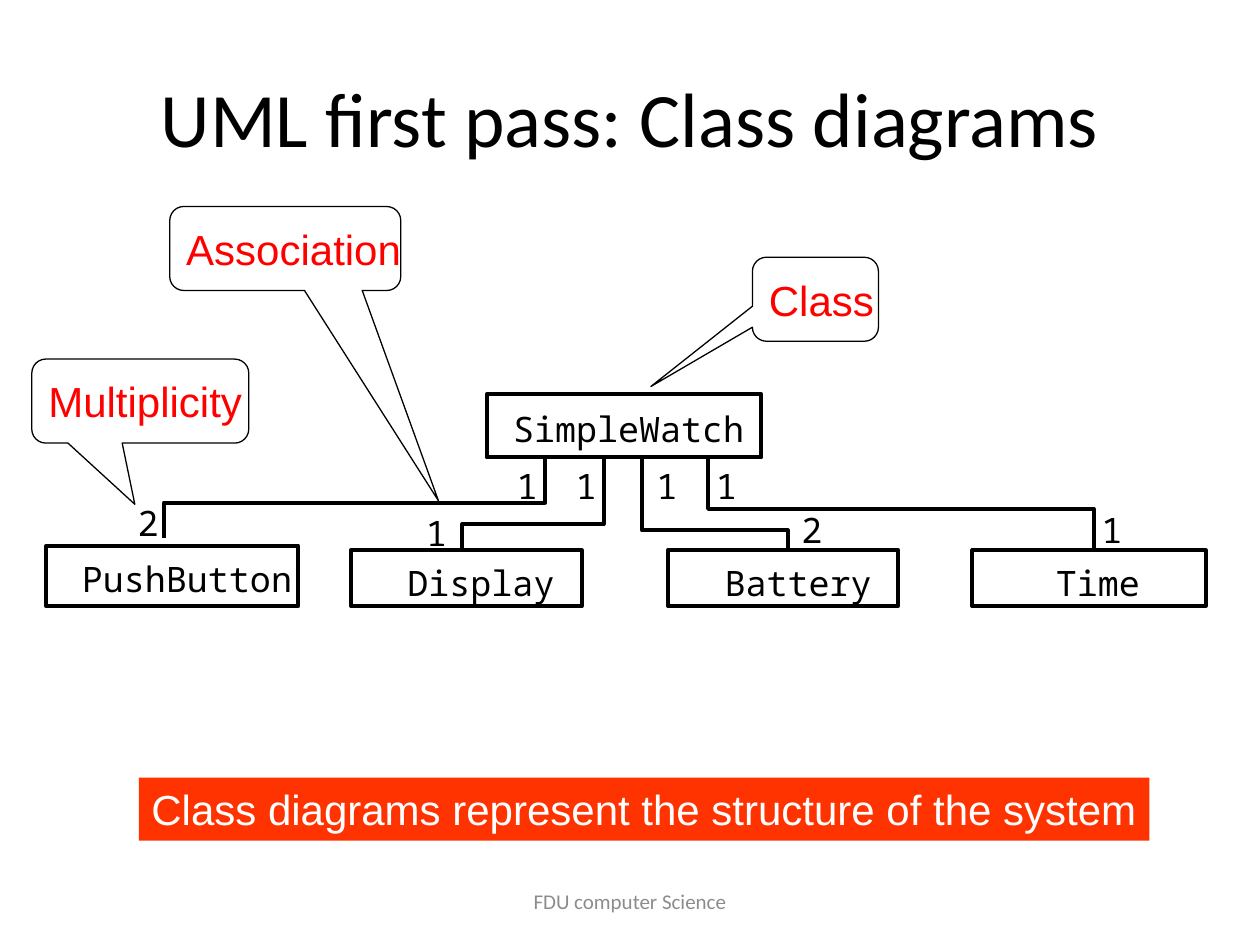
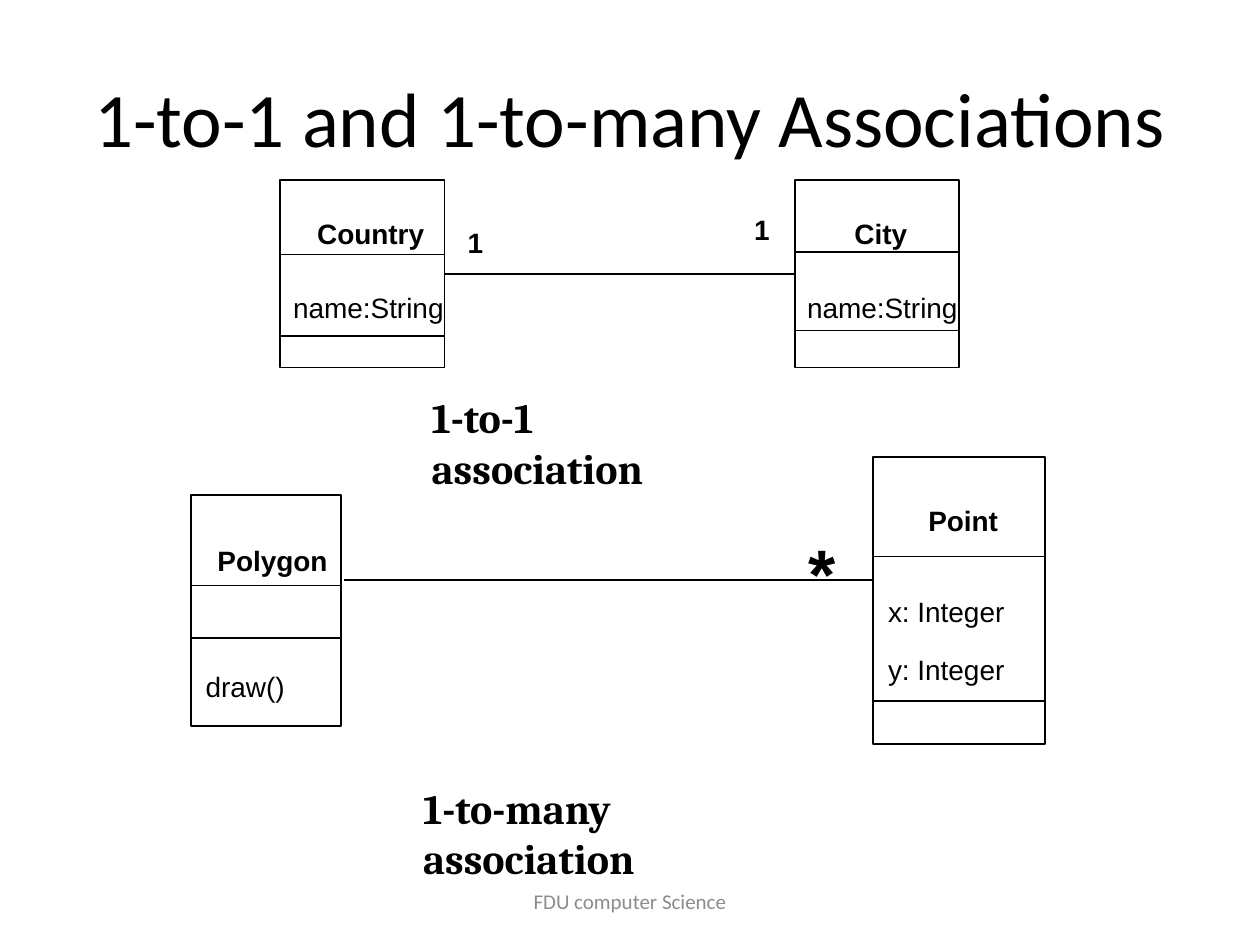
"""Build two slides on UML class diagrams and their associations."""
import pptx
import pptx.dml.color
import pptx.enum.shapes
import pptx.enum.text
import pptx.oxml
import pptx.util

Pt = pptx.util.Pt
SHAPES = pptx.enum.shapes.MSO_SHAPE
ANCHOR = pptx.enum.text.MSO_ANCHOR
GROW = pptx.enum.text.MSO_AUTO_SIZE.SHAPE_TO_FIT_TEXT

THEME = {
    "ink": "000000", "paper": "FFFFFF", "accent": "FF0000", "banner": "FF3300", "muted": "8C8C8C",
    "sans": "Arial", "serif": "Cambria", "heading": "Calibri", "code": "Noto Sans Mono",
    "title": 44, "star": 40, "large": 24, "label": 20, "member": 16, "footer": 12,
    "thick": 2.25, "thin": 1, "hairline": 0.75,
}
CENTERED = {"word_wrap": True, "vertical_anchor": ANCHOR.MIDDLE}
MIDDLE = {"word_wrap": False, "vertical_anchor": ANCHOR.MIDDLE}
GROWING = {"word_wrap": False, "auto_size": GROW}
TIGHT = {**GROWING, "margin_left": 0, "margin_top": 0, "margin_right": 0, "margin_bottom": 0}
CAPTION = {"word_wrap": True, "auto_size": GROW}

STYLES = {
    "title": ("heading", "title", "ink", False, "CENTER", CENTERED),
    "footer": ("heading", "footer", "muted", False, "CENTER", CENTERED),
    "callout": ("sans", "large", "accent", False, "LEFT", MIDDLE),
    "banner": ("sans", "large", "paper", False, "LEFT", {**MIDDLE, "auto_size": GROW}),
    "code": ("code", "label", "ink", False, "LEFT", TIGHT),
    "caption": ("serif", "large", "ink", True, "LEFT", CAPTION),
    "class name": ("sans", "member", "ink", True, "LEFT", GROWING),
    "member": ("sans", "member", "ink", False, "LEFT", GROWING),
    "star": ("sans", "star", "ink", True, "LEFT", GROWING),
}


def write(shape, text, style):
    typeface, size, color, bold, alignment, frame_format = STYLES[style]
    for name, value in frame_format.items():
        setattr(shape.text_frame, name, value)
    paragraph = shape.text_frame.paragraphs[0]
    paragraph.text = text
    paragraph.alignment = getattr(pptx.enum.text.PP_ALIGN, alignment)
    font_format = {"name": THEME[typeface], "size": Pt(THEME[size]), "bold": bold}
    for name, value in font_format.items():
        setattr(paragraph.font, name, value)
    paragraph.font.color.rgb = pptx.dml.color.RGBColor.from_string(THEME[color])


def paint(shape, fill, width):
    shape.shadow.inherit = False
    if fill:
        shape.fill.solid()
        shape.fill.fore_color.rgb = pptx.dml.color.RGBColor.from_string(THEME[fill])
    else:
        shape.fill.background()
    if width:
        shape.line.width = Pt(THEME[width])
        shape.line.color.rgb = pptx.dml.color.RGBColor.from_string(THEME["ink"])
    else:
        shape.line.fill.background()


presentation = pptx.Presentation()
presentation.slide_width, presentation.slide_height = Pt(720), Pt(540)

slides = []
for title in ("UML first pass: Class diagrams", "1-to-1 and 1-to-many Associations"):
    slide = presentation.slides.add_slide(presentation.slide_layouts[6])
    write(slide.shapes.add_textbox(Pt(36), Pt(21.6), Pt(648), Pt(90)), title, "title")
    write(slide.shapes.add_textbox(Pt(246), Pt(500.4), Pt(228), Pt(28.8)),
          "FDU computer Science", "footer")
    slides.append(slide)
watch_slide, association_slide = slides

callouts = [
    ("Class", 430, 147, 72, (-1.306, 1.039, 0.167)),
    ("Association", 97, 118, 132, (0.663, 3.003, 0.167)),
    ("Multiplicity", 18.2, 205.2, 124, (-0.025, 1.229, 0.167)),
]
for text, left, top, width, adjustments in callouts:
    callout = watch_slide.shapes.add_shape(
        SHAPES.ROUNDED_RECTANGULAR_CALLOUT, Pt(left), Pt(top), Pt(width), Pt(48))
    for index, value in enumerate(adjustments):
        callout.adjustments[index] = value
    paint(callout, "paper", "hairline")
    write(callout, text, "callout")

banner = watch_slide.shapes.add_shape(
    SHAPES.RECTANGLE, Pt(79.4), Pt(444.4), Pt(577.4), Pt(36))
paint(banner, "banner", None)
write(banner, "Class diagrams represent the structure of the system", "banner")

branches = [
    (93.6, 307.4, 287.3, 311.5, 259.9),
    (264.2, 313.2, 299.5, 344.9, 258.5),
    (450.2, 315.4, 303.1, 366.8, 258.5),
    (625, 313.9, 290.9, 404.6, 258.5),
]
for part_x, part_y, bend_y, watch_x, watch_y in branches:
    builder = watch_slide.shapes.build_freeform(Pt(part_x), Pt(part_y))
    corners = [(part_x, bend_y), (watch_x, bend_y), (watch_x, watch_y)]
    builder.add_line_segments([(Pt(x), Pt(y)) for x, y in corners], close=False)
    paint(builder.convert_to_shape(), None, "thick")

multiplicities = [
    ("1", 295.2, 265.7), ("1", 329, 265.7), ("1", 375.1, 265.7), ("1", 409, 265.7),
    ("2", 78.7, 286.5), ("1", 243.4, 292.3), ("2", 457.9, 290.7), ("1", 629.3, 290.7),
]
for text, left, top in multiplicities:
    write(watch_slide.shapes.add_textbox(Pt(left), Pt(top), Pt(12.5), Pt(24)), text, "code")

watch_classes = [
    ("SimpleWatch", (278.1, 225.4, 157, 36), 293.2, 233),
    ("Display", (200.7, 314.4, 131.8, 31.9), 232.8, 320.6),
    ("Battery", (381.6, 314.4, 131.8, 31.9), 414, 320.6),
    ("Time", (555.6, 314.4, 133.4, 31.9), 603.4, 320.6),
    ("PushButton", (26.4, 311.8, 144, 34.6), 46.8, 318.4),
]
for text, box, left, top in watch_classes:
    paint(watch_slide.shapes.add_shape(SHAPES.RECTANGLE, *map(Pt, box)), "paper", "thick")
    write(watch_slide.shapes.add_textbox(Pt(left), Pt(top), Pt(12.5 * len(text)), Pt(24)),
          text, "code")

class_boxes = {
    "Country": ((160, 103, 94.1, 107.1), (145.4, 192.2)),
    "City": ((454.1, 103, 94.1, 107.1), (144, 188.8)),
    "Polygon": ((109, 283, 85.7, 131.8), (334.6, 364.5)),
    "Point": ((499, 261, 98.2, 164.2), (318, 400.5)),
}
rectangles = {}
segments = [(196.6, 499, 331.4)]
for name, (box, dividers) in class_boxes.items():
    rectangles[name] = association_slide.shapes.add_shape(SHAPES.RECTANGLE, *map(Pt, box))
    paint(rectangles[name], None, "thin")
    segments += [(box[0], box[0] + box[2], y) for y in dividers]

connectors = [
    association_slide.shapes.add_connector(
        pptx.enum.shapes.MSO_CONNECTOR.STRAIGHT, Pt(start), Pt(y), Pt(end), Pt(y))
    for start, end, y in [(254.1, 454.1, 156.55)] + segments
]
connectors[0].begin_connect(rectangles["Country"], 3)
connectors[0].end_connect(rectangles["City"], 1)
for connector in connectors:
    connector.line.width = Pt(THEME["thin"])
    connector.line.color.rgb = pptx.dml.color.RGBColor.from_string(THEME["ink"])
    properties = connector.element.spPr
    properties.append(properties.makeelement(pptx.oxml.ns.qn("a:effectLst"), {}))

labels = [
    ("Country", "class name", (174.2, 120.2, 78, 26)),
    ("name:String", "member", (160.4, 162.7, 103, 26)),
    ("City", "class name", (481.2, 120.2, 47, 26)),
    ("name:String", "member", (454.1, 162.7, 103, 26)),
    ("Polygon", "class name", (117.2, 307.2, 80, 26)),
    ("draw()", "member", (110.4, 379.2, 62, 26)),
    ("Point", "class name", (523.4, 284.4, 57, 26)),
    ("x: Integer", "member", (500.4, 336.2, 83, 26)),
    ("y: Integer", "member", (500.4, 369.4, 83, 26)),
    ("1", "class name", (260.1, 125.3, 25, 26)),
    ("1", "class name", (423.9, 118.1, 25, 26)),
    ("*", "star", (455, 298.8, 31, 54.7)),
    ("1-to-1 association", "caption", (239.6, 220.3, 192.2, 36)),
    ("1-to-many association", "caption", (234.7, 443.5, 237.6, 36)),
]
for text, style, box in labels:
    write(association_slide.shapes.add_textbox(*map(Pt, box)), text, style)

presentation.save("out.pptx")
